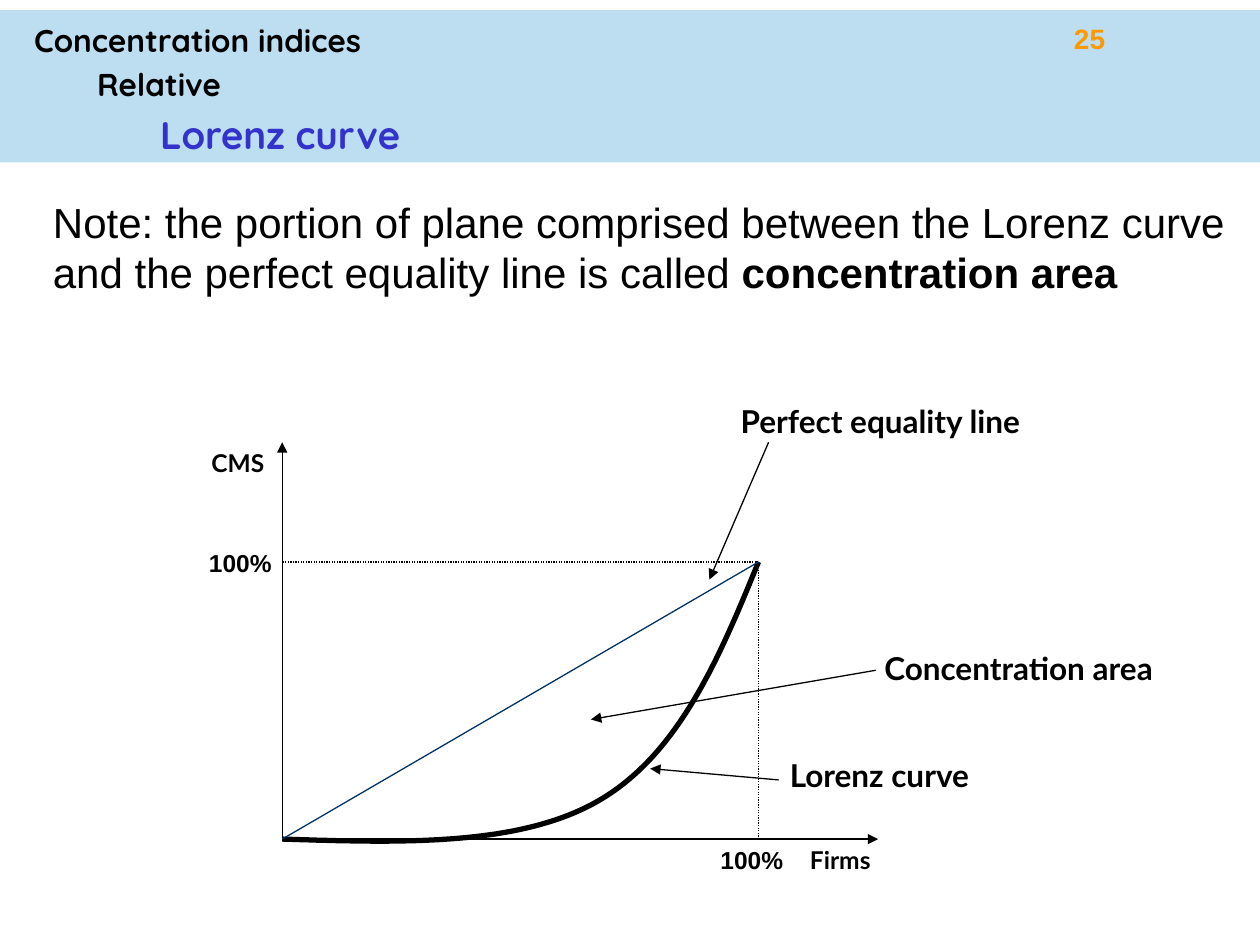
import pptx
import pptx.dml.color
import pptx.enum.dml
import pptx.enum.shapes
import pptx.enum.text
import pptx.oxml
import pptx.oxml.ns
import pptx.util

RGBColor = pptx.dml.color.RGBColor
BLACK = RGBColor(0x00, 0x00, 0x00)
BAND = RGBColor(0xBD, 0xDE, 0xF1)
NAVY = RGBColor(0x00, 0x33, 0x66)
BLUE = RGBColor(0x33, 0x33, 0xCC)
ORANGE = RGBColor(0xFF, 0x99, 0x00)

W, H = 10, 7.5
# Corners of the plot: origin and the 100% point
X0, Y0 = 2.24, 6.66
X1, Y1 = 6.02, 4.46
AXIS_TOP, AXIS_RIGHT = 3.51, 6.97
DOTTED = pptx.enum.dml.MSO_LINE.ROUND_DOT
LEFT = pptx.enum.text.PP_ALIGN.LEFT
RIGHT = pptx.enum.text.PP_ALIGN.RIGHT


def inches(*values):
    return [pptx.util.Inches(v) for v in values]


def add_run(p, text, size, font="Arial", color=BLACK, bold=True):
    r = p.add_run()
    r.text = text
    formats = {"size": pptx.util.Pt(size), "name": font, "bold": bold}
    for name, value in formats.items():
        setattr(r.font, name, value)
    r.font.color.rgb = color


def format_frame(tf, inset=None):
    formats = {"word_wrap": True,
               "auto_size": pptx.enum.text.MSO_AUTO_SIZE.NONE,
               "vertical_anchor": pptx.enum.text.MSO_ANCHOR.TOP}
    if inset:
        sides = ("margin_left", "margin_top", "margin_right", "margin_bottom")
        formats.update(zip(sides, inches(*inset)))
    for name, value in formats.items():
        setattr(tf, name, value)


def place(sp, left, top, width, height):
    sp.left, sp.top, sp.width, sp.height = inches(left, top, width, height)


def format_paragraph(p, indent=0, before=0):
    p.alignment = LEFT
    p.space_before = pptx.util.Pt(before)
    pPr = p._p.get_or_add_pPr()
    pPr.set("marL", str(pptx.util.Inches(indent)))
    pPr.set("indent", "0")
    pPr.append(pptx.oxml.parse_xml(
        "<a:buNone %s/>" % pptx.oxml.ns.nsdecls("a")))


def add_band(s):
    sp = s.shapes.add_shape(pptx.enum.shapes.MSO_SHAPE.RECTANGLE,
                            *inches(0, 0.08, W, 1.21))
    sp.shadow.inherit = False
    sp.fill.solid()
    sp.fill.fore_color.rgb = BAND
    sp.line.fill.background()


def fill_title(sp):
    place(sp, 0.17, 0.12, 9.99, 1.56)
    tf = sp.text_frame
    format_frame(tf, (0.1, 0.05, 0.1, 0.05))
    levels = [("Concentration indices", 18, BLACK, 3),
              ("Relative", 18, BLACK, 3.5), ("Lorenz curve", 22, BLUE, 4.5)]
    for i, (text, size, color, before) in enumerate(levels):
        p = tf.add_paragraph() if i else tf.paragraphs[0]
        format_paragraph(p, indent=0.5 * i, before=before)
        add_run(p, text, size, "Quicksand", color)


def fill_note(sp):
    place(sp, 0.42, 1.56, 9.37, 5.02)
    format_frame(sp.text_frame, (0, 0, 0, 0))
    p = sp.text_frame.paragraphs[0]
    format_paragraph(p, before=4.8)
    add_run(p, "Note: the portion of plane comprised between the Lorenz curve "
               "and the perfect equality line is called ", 24, bold=False)
    add_run(p, "concentration area", 24)


def add_label(s, text, left, top, width, size, font="Lato"):
    height = 0.34 if size == 14 else 0.4
    sp = s.shapes.add_textbox(*inches(left, top, width, height))
    format_frame(sp.text_frame)
    add_run(sp.text_frame.paragraphs[0], text, size, font)


def add_page_number(s):
    sp = s.shapes.add_textbox(*inches(8.46, 0.17, 1.49, 0.27))
    format_frame(sp.text_frame, (0, 0, 1.18, 0))
    p = sp.text_frame.paragraphs[0]
    p.alignment = RIGHT
    add_run(p, "25", 16, color=ORANGE)


def add_line(s, start, end, color=BLACK, dash=None, arrow=False):
    cx = s.shapes.add_connector(pptx.enum.shapes.MSO_CONNECTOR.STRAIGHT,
                                *inches(*start, *end))
    cx.line.color.rgb = color
    cx.line.width = pptx.util.Pt(0.75)
    if dash:
        cx.line.dash_style = dash
    ns = pptx.oxml.ns.nsdecls("a")
    if arrow:
        cx.line._get_or_add_ln().append(
            pptx.oxml.parse_xml('<a:tailEnd %s type="triangle"/>' % ns))
    cx._element.spPr.append(pptx.oxml.parse_xml("<a:effectLst %s/>" % ns))


def bezier(points, steps=40):
    """Points along a cubic curve, without its start."""
    for i in range(1, steps + 1):
        t = i / steps
        weights = ((1 - t) ** 3, 3 * t * (1 - t) ** 2,
                   3 * t ** 2 * (1 - t), t ** 3)
        yield tuple(sum(w * c for w, c in zip(weights, axis))
                    for axis in zip(*points))


def add_lorenz_curve(s):
    middle = (4.76, 6.35)
    segments = [((X0, Y0), (3.19, 6.69), (4.13, 6.72), middle),
                (middle, (5.39, 5.98), (5.71, 5.22), (X1, Y1))]
    # The builder rounds to whole units, so points are given in EMU
    fb = s.shapes.build_freeform(*inches(X0, Y0), scale=1.0)
    for segment in segments:
        fb.add_line_segments([inches(*point) for point in bezier(segment)],
                             close=False)
    sp = fb.convert_to_shape()
    sp.shadow.inherit = False
    sp.fill.background()
    sp.line.color.rgb = BLACK
    sp.line.width = pptx.util.Pt(3)


def main():
    prs = pptx.Presentation()
    prs.slide_width, prs.slide_height = inches(W, H)
    s = prs.slides.add_slide(prs.slide_layouts[1])

    # Header and note; the band goes behind the placeholders
    add_band(s)
    tree = s.shapes._spTree
    tree.insert(2, s.shapes[-1]._element)
    fill_title(s.shapes.title)
    fill_note(s.placeholders[1])
    add_page_number(s)

    # Axes, curve, guides and equality line
    add_line(s, (X0, Y0), (X0, AXIS_TOP), arrow=True)
    add_line(s, (X0, Y0), (AXIS_RIGHT, Y0), arrow=True)
    add_lorenz_curve(s)
    for foot in [(X0, Y1), (X1, Y0)]:
        add_line(s, (X1, Y1), foot, dash=DOTTED)
    add_line(s, (X0, Y0), (X1, Y1), color=NAVY)

    # Axis labels
    add_label(s, "CMS", 1.58, AXIS_TOP, 0.84, 14)
    add_label(s, "Firms", 6.33, Y0, 1.41, 14)
    for left, top in [(1.56, 4.3), (5.62, Y0)]:
        add_label(s, "100%", left, top, 0.84, 14, "Arial")

    # Callouts with their arrows
    callouts = [
        ("Perfect equality line", 5.78, 3.14, 3.43, (6.1, 3.51), (5.63, 4.6)),
        ("Concentration area", 6.92, 5.1, 3.46, (6.95, 5.32), (4.69, 5.71)),
        ("Lorenz curve", 6.17, 5.95, 2.76, (6.18, 6.19), (5.16, 6.1)),
    ]
    for text, left, top, width, start, end in callouts:
        add_label(s, text, left, top, width, 18)
        add_line(s, start, end, arrow=True)

    prs.save("out.pptx")


if __name__ == "__main__":
    main()
